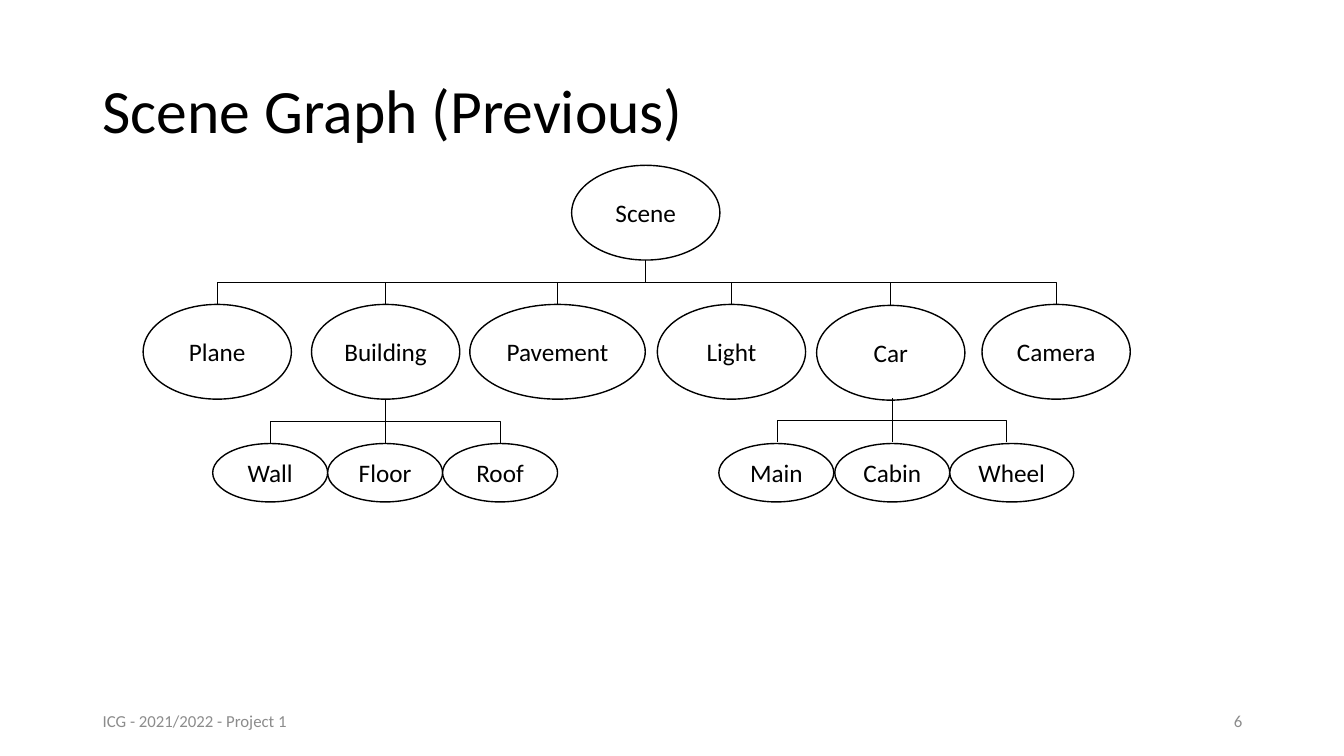
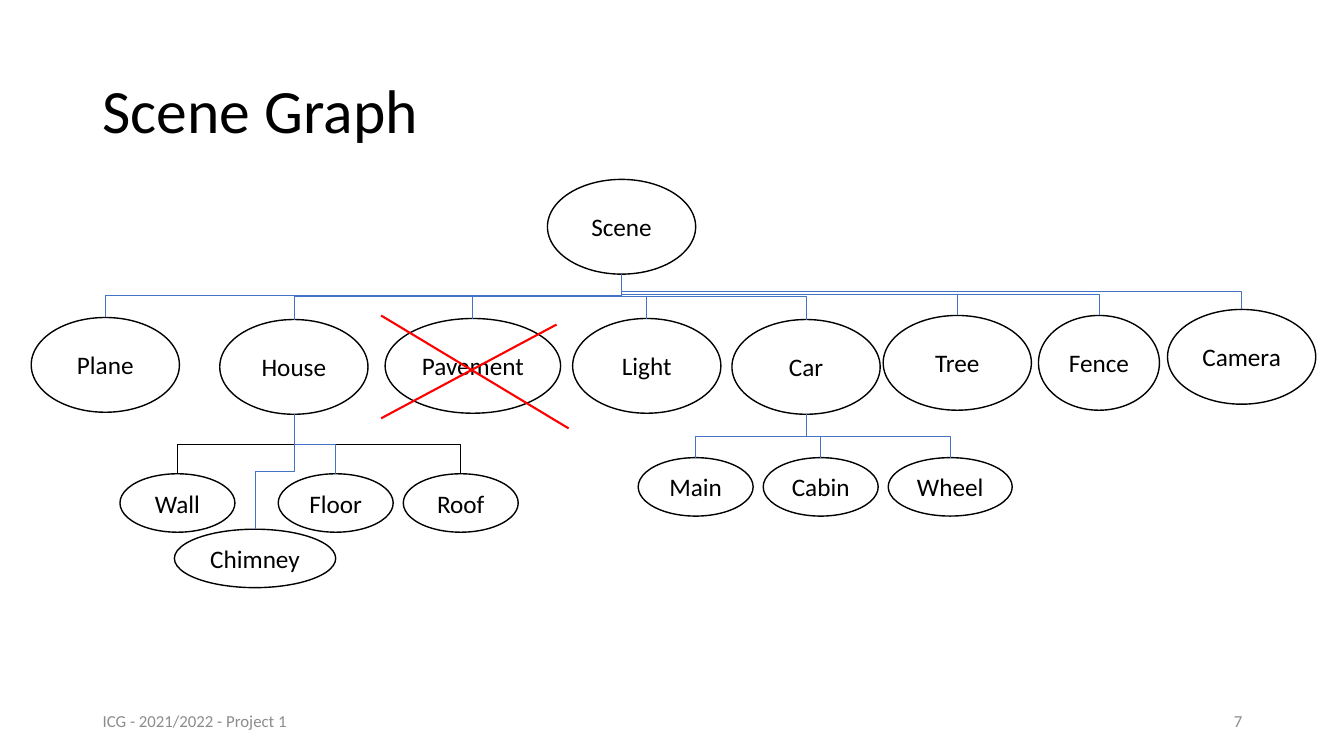
from lxml import etree
from pptx import Presentation
from pptx.dml.color import RGBColor
from pptx.enum.shapes import MSO_CONNECTOR, MSO_SHAPE
from pptx.enum.text import MSO_ANCHOR, PP_ALIGN
from pptx.oxml.ns import qn
from pptx.util import Pt

PX = 9144  # EMU per px, 100 px to the inch
FONT = "Calibri"
BLACK = RGBColor(0x00, 0x00, 0x00)
WHITE = RGBColor(0xFF, 0xFF, 0xFF)
GREY = RGBColor(0x8C, 0x8C, 0x8C)
BLUE = RGBColor(0x44, 0x72, 0xC4)
RED = RGBColor(0xFF, 0x00, 0x00)
LEFT, CENTER, RIGHT = PP_ALIGN.LEFT, PP_ALIGN.CENTER, PP_ALIGN.RIGHT
MIDDLE = MSO_ANCHOR.MIDDLE
OVAL = MSO_SHAPE.OVAL
STRAIGHT, ELBOW = MSO_CONNECTOR.STRAIGHT, MSO_CONNECTOR.ELBOW
BIG = (147, 94)
WIDE = (174, 94)
SLIM = (120, 94)
SMALL = (114, 58)
MID = (123, 58)
LONG = (160, 58)


class Deck:
    def __init__(self):
        self.prs = Presentation()
        self.prs.slide_width = 1333 * PX
        self.prs.slide_height = 750 * PX
        self.shapes = None
        self.boxes = {}

    def page(self, title, number):
        """Start a slide with its title and footer."""
        slide = self.prs.slides.add_slide(self.prs.slide_layouts[6])
        self.shapes = slide.shapes
        self.boxes = {}
        self.label(title, 92, 40, 1150, 145, 44, BLACK, LEFT, 0.9)
        self.label("ICG - 2021/2022 - Project 1", 92, 695, 300, 40, 12, GREY, LEFT)
        self.label(str(number), 942, 695, 300, 40, 12, GREY, RIGHT)

    def put_text(self, frame, text, size, ink, align, space=None):
        frame.vertical_anchor = MIDDLE
        para = frame.paragraphs[0]
        para.alignment = align
        para.line_spacing = space
        run = para.add_run()
        run.text = text
        run.font.name = FONT
        run.font.size = Pt(size)
        run.font.color.rgb = ink

    def label(self, text, x, y, w, h, size, ink, align, space=None):
        box = self.shapes.add_textbox(x * PX, y * PX, w * PX, h * PX)
        box.text_frame.word_wrap = True
        self.put_text(box.text_frame, text, size, ink, align, space)

    def node(self, name, x, y, size=BIG):
        w, h = size
        oval = self.shapes.add_shape(OVAL, x * PX, y * PX, w * PX, h * PX)
        oval.shadow.inherit = False
        oval.fill.solid()
        oval.fill.fore_color.rgb = WHITE
        oval.line.color.rgb = BLACK
        oval.line.width = Pt(1)
        oval.text_frame.word_wrap = False
        self.put_text(oval.text_frame, name, 18, BLACK, CENTER)
        self.boxes[name] = x, y, w, h

    def nodes(self, items):
        for item in items:
            self.node(*item)

    def line(self, x1, y1, x2, y2, ink, width=0.5, kind=STRAIGHT):
        ends = [round(v * PX) for v in (x1, y1, x2, y2)]
        line = self.shapes.add_connector(kind, *ends)
        line.line.color.rgb = ink
        line.line.width = Pt(width)
        etree.SubElement(line._element.spPr, qn("a:effectLst"))
        return line

    def elbow(self, x1, y1, x2, y2, ink):
        """Go down, across and down again, as a turned elbow connector."""
        if x1 == x2:
            self.line(x1, y1, x2, y2, ink)
            return
        w, h = y2 - y1, abs(x2 - x1)
        near, far = (x1 + x2 - w) / 2, (x1 + x2 + w) / 2
        top = (y1 + y2 - h) / 2
        turn = 90
        if x2 > x1:
            near, far, turn = far, near, 270
        line = self.line(near, top, far, top + h, ink, kind=ELBOW)
        line._element.spPr.find(qn("a:xfrm")).set("rot", str(turn * 60000))

    def fan(self, start, ends, ink):
        """Join a point to several points below it."""
        for end in ends:
            self.elbow(*start, *end, ink)

    def link(self, name, kids, ink):
        """Join the foot of a node to the tops of its children."""
        x, y, w, h = self.boxes[name]
        tops = [self.boxes[kid] for kid in kids]
        ends = [(a + b / 2, c) for a, c, b, _ in tops]
        self.fan((x + w / 2, y + h), ends, ink)


def before(deck):
    deck.page("Scene Graph (Previous)", 6)
    deck.nodes([
        ("Scene", 567, 164),
        ("Plane", 142, 302),
        ("Building", 309, 302),
        ("Pavement", 466, 302, WIDE),
        ("Light", 652, 302),
        ("Car", 810, 303),
        ("Camera", 974, 302),
        ("Wall", 211, 440, SMALL),
        ("Floor", 325, 440, SMALL),
        ("Roof", 439, 440, SMALL),
        ("Main", 713, 440, SMALL),
        ("Cabin", 828, 440, SMALL),
        ("Wheel", 942, 440, MID),
    ])
    deck.link("Scene", ["Plane", "Building", "Pavement", "Light", "Car", "Camera"], BLACK)
    deck.link("Building", ["Wall", "Floor", "Roof"], BLACK)
    deck.fan((885, 395), [(771, 439), (885, 439), (998, 439)], BLACK)


def after(deck):
    deck.page("Scene Graph", 7)
    deck.nodes([
        ("Scene", 543, 178),
        ("Plane", 31, 315),
        ("House", 218, 317),
        ("Pavement", 382, 316, WIDE),
        ("Light", 568, 316),
        ("Car", 726, 317),
        ("Tree", 876, 313),
        ("Fence", 1030, 313, SLIM),
        ("Camera", 1158, 307),
        ("Wall", 119, 470, SMALL),
        ("Floor", 276, 470, SMALL),
        ("Roof", 400, 470, SMALL),
        ("Chimney", 173, 525, LONG),
        ("Main", 633, 454, SMALL),
        ("Cabin", 757, 454, SMALL),
        ("Wheel", 881, 454, MID),
    ])
    deck.link("Scene", ["Light", "Pavement", "Car", "Tree", "Fence", "Camera",
                        "House", "Plane"], BLUE)
    deck.link("House", ["Roof", "Wall"], BLACK)
    deck.link("House", ["Floor", "Chimney"], BLUE)
    deck.link("Car", ["Main", "Cabin", "Wheel"], BLUE)
    deck.line(378, 313, 564, 425, RED, 1.5)
    deck.line(378, 415, 552, 322, RED, 1.5)


def main():
    deck = Deck()
    before(deck)
    after(deck)
    deck.prs.save("out.pptx")


if __name__ == "__main__":
    main()
